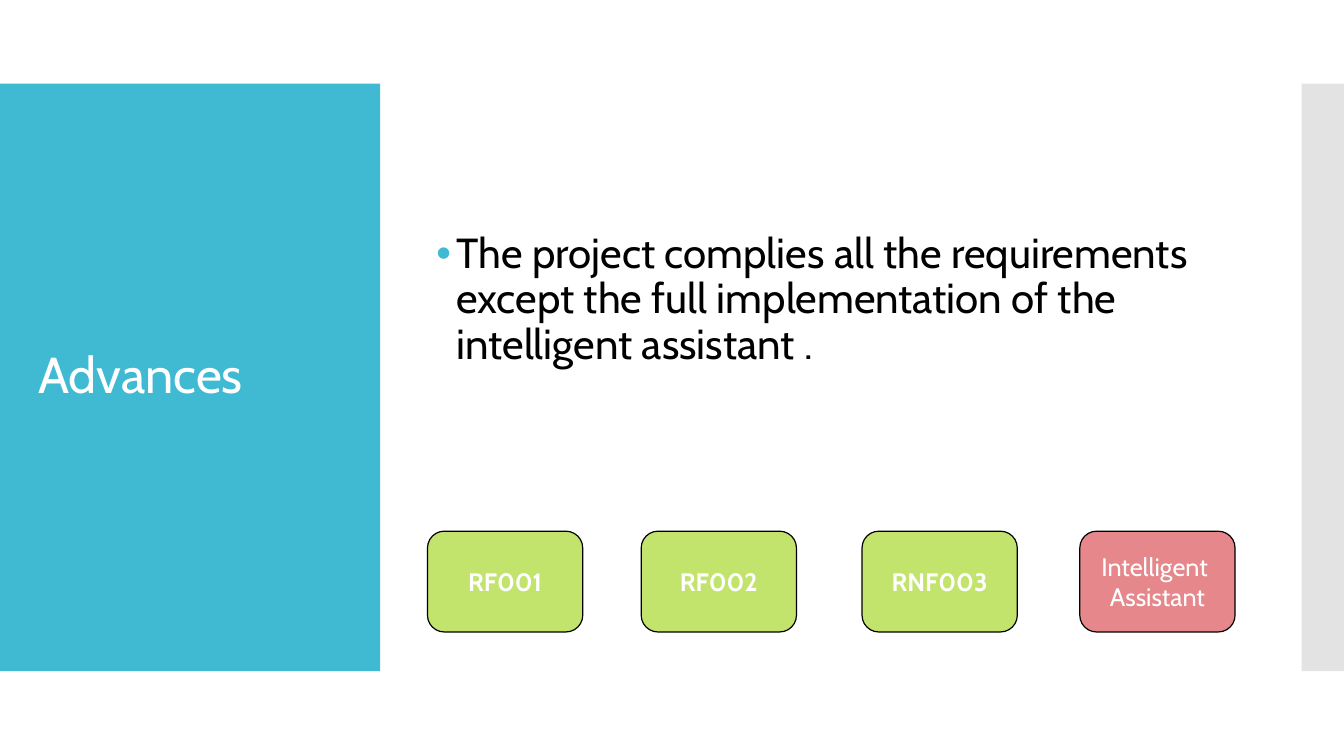
from lxml.etree import SubElement
from pptx import Presentation
from pptx.dml.color import RGBColor
from pptx.enum.shapes import MSO_SHAPE as Preset
from pptx.enum.text import MSO_ANCHOR as Anchor, MSO_AUTO_SIZE as AutoSize, PP_ALIGN as Align
from pptx.oxml.ns import qn
from pptx.util import Pt

SCALE = 9144
ACCENT, SIDE = "40BAD2", "C8C8C8"
DONE, PENDING = "C2E46D", "E6888B"
WHITE, BLACK = "FFFFFF", "000000"


def px(length):
    return length * SCALE


def colour(code):
    return RGBColor.from_string(code)


def apply(target, values):
    for name, value in values.items():
        setattr(target, name, value)


def place(shape, box):
    apply(shape, dict(zip(("left", "top", "width", "height"), map(px, box))))


def write(frame, lines, size, code, bold=False, **paragraph):
    apply(frame, {"word_wrap": True, "auto_size": AutoSize.NONE,
                  "vertical_anchor": Anchor.MIDDLE})
    for index, line in enumerate(lines):
        para = frame.add_paragraph() if index else frame.paragraphs[0]
        apply(para, paragraph)
        span = para.add_run()
        span.text = line
        apply(span.font, {"name": "Cabin", "size": Pt(size), "bold": bold})
        span.font.color.rgb = colour(code)


def add_block(page, preset, box, fill):
    block = page.shapes.add_shape(preset, *map(px, box))
    block.shadow.inherit = False
    block.fill.solid()
    block.fill.fore_color.rgb = colour(fill)
    return block


def add_panels(page, box):
    left, top, width, height = box
    side_width = 42
    panel = add_block(page, Preset.RECTANGLE, (left, top, 377, height), ACCENT)
    side = add_block(page, Preset.RECTANGLE,
                     (left + width - side_width, top, side_width, height), SIDE)
    for block in (panel, side):
        block.line.fill.background()
    solid = side.element.spPr.find(qn("a:solidFill"))
    SubElement(solid[0], qn("a:alpha"), val="50000")


def add_title(page, box, text):
    title = page.shapes.title
    title.element.getparent().append(title.element)
    place(title, box)
    write(title.text_frame, [text], 36, WHITE, alignment=Align.LEFT, line_spacing=0.9)
    span = title.text_frame.paragraphs[0].runs[0]
    span.font.element.set("spc", "-60") if hasattr(span.font, "element") else None


def add_body(page, box, text):
    frame = page.shapes.add_textbox(*map(px, box)).text_frame
    para = frame.paragraphs[0]
    properties = para._p.get_or_add_pPr()
    properties.set("marL", str(px(20)))
    properties.set("indent", str(px(-20)))
    bullet_colour = SubElement(properties, qn("a:buClr"))
    SubElement(bullet_colour, qn("a:srgbClr"), val=ACCENT)
    SubElement(properties, qn("a:buFont"), typeface="Arial")
    SubElement(properties, qn("a:buChar"), char="•")
    write(frame, [text], 30, BLACK, line_spacing=0.9)


def add_requirements(page, box, requirements):
    left, top, width, height = box
    for offset, lines, fill, bold in requirements:
        card = add_block(page, Preset.ROUNDED_RECTANGLE,
                         (left + offset, top, width, height), fill)
        card.line.color.rgb = colour(BLACK)
        card.line.width = Pt(0.85)
        write(card.text_frame, lines, 18, WHITE, bold, alignment=Align.CENTER)


def main():
    deck = Presentation()
    apply(deck, {"slide_width": px(1333), "slide_height": px(750)})
    page = deck.slides.add_slide(deck.slide_layouts[5])
    add_panels(page, (0, 83, 1333, 583))
    add_title(page, (28, 123, 322, 503), "Advances")
    add_body(page, (423, 18, 800, 560),
             "The project complies all the requirements except the full "
             "implementation of the intelligent assistant .")
    add_requirements(page, (424, 527, 154, 100), [
        (0, ["RF001"], DONE, True),
        (212, ["RF002"], DONE, True),
        (431, ["RNF003"], DONE, True),
        (647, ["Intelligent ", "Assistant"], PENDING, False),
    ])
    deck.save("out.pptx")


if __name__ == "__main__":
    main()
